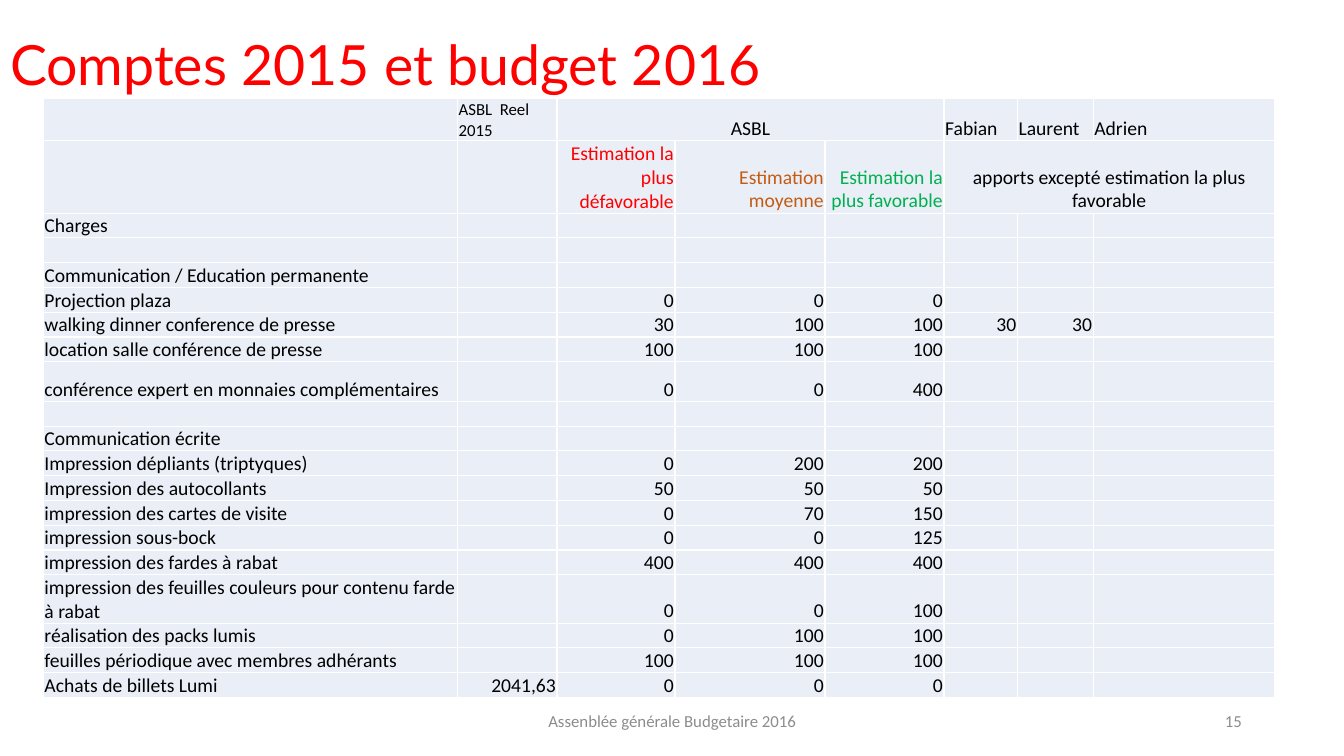
from dataclasses import dataclass

from lxml.etree import SubElement
from pptx import Presentation
from pptx.dml.color import RGBColor as Rgb
from pptx.enum.text import MSO_ANCHOR as Anchor, MSO_AUTO_SIZE as AutoSize, PP_ALIGN as Align
from pptx.oxml.ns import qn
from pptx.util import Cm, Pt


@dataclass(frozen=True)
class Theme:
    title_font: str = "Lato"
    body_font: str = "Calibri"
    title_size: float = 39.6
    table_size: int = 14
    small_size: int = 12
    red: str = "FF0000"
    orange: str = "C55A11"
    green: str = "00B050"
    black: str = "000000"
    grey: str = "8C8C8C"
    cell_fill: str = "EAEFF7"
    border: str = "FFFFFF"


class SlideBuilder:
    def __init__(self, slide, theme):
        self.slide, self.theme = slide, theme

    def style(self, paragraph, size, color, align, font=None):
        paragraph.alignment = align
        paragraph.font.name = font or self.theme.body_font
        paragraph.font.size = Pt(size)
        paragraph.font.color.rgb = Rgb.from_string(color)

    def title(self, text, left, top, width, height):
        title = self.slide.shapes.title
        title.left, title.top, title.width, title.height = map(Cm, (left, top, width, height))
        frame = title.text_frame
        frame.text = text
        frame.auto_size = AutoSize.NONE
        frame.vertical_anchor = Anchor.MIDDLE
        frame.paragraphs[0].line_spacing = 0.9
        self.style(frame.paragraphs[0], self.theme.title_size, self.theme.red,
                   Align.LEFT, self.theme.title_font)

    def footer(self, text, left, width, align):
        frame = self.slide.shapes.add_textbox(Cm(left), Cm(17.65), Cm(width), Cm(1.02)).text_frame
        frame.text = text
        frame.word_wrap = True
        frame.vertical_anchor = Anchor.MIDDLE
        self.style(frame.paragraphs[0], self.theme.small_size, self.theme.grey, align)

    def table(self, left, top, widths, heights):
        table = self.slide.shapes.add_table(
            len(heights), len(widths), Cm(left), Cm(top),
            Cm(sum(widths)), Cm(sum(heights))).table
        table.first_row = table.horz_banding = False
        for column, width in zip(table.columns, widths):
            column.width = Cm(width)
        for row, height in zip(table.rows, heights):
            row.height = Cm(height)
        return table

    def cell(self, cell, text="", align=Align.LEFT, color=None, size=None):
        size = size or self.theme.table_size
        cell.margin_left = cell.margin_right = cell.margin_top = Cm(0.03)
        cell.margin_bottom = 0
        cell.vertical_anchor = Anchor.BOTTOM
        self.borders(cell)
        cell.fill.solid()
        cell.fill.fore_color.rgb = Rgb.from_string(self.theme.cell_fill)
        if text:
            cell.text = text
        paragraph = cell.text_frame.paragraphs[0]
        self.style(paragraph, size, color or self.theme.black, align)
        if not text:
            # An empty cell takes its line height from the paragraph end
            SubElement(paragraph._p, qn("a:endParaRPr"), sz=str(size * 100))

    def borders(self, cell):
        properties = cell._tc.get_or_add_tcPr()
        for side in ("a:lnL", "a:lnR", "a:lnT", "a:lnB"):
            line = SubElement(properties, qn(side), w=str(Pt(1)))
            fill = SubElement(line, qn("a:solidFill"))
            SubElement(fill, qn("a:srgbClr"), val=self.theme.border)


# Table content: label, then amounts from the second column on
CHARGES = [
    ("Charges",),
    (),
    ("Communication / Education permanente",),
    ("Projection plaza", "", "0", "0", "0"),
    ("walking dinner conference de presse", "", "30", "100", "100", "30", "30"),
    ("location salle conférence de presse", "", "100", "100", "100"),
    ("conférence expert en monnaies complémentaires", "", "0", "0", "400"),
    (),
    ("Communication écrite",),
    ("Impression dépliants (triptyques)", "", "0", "200", "200"),
    ("Impression des autocollants", "", "50", "50", "50"),
    ("impression des cartes de visite", "", "0", "70", "150"),
    ("impression sous-bock", "", "0", "0", "125"),
    ("impression des fardes à rabat", "", "400", "400", "400"),
    ("impression des feuilles couleurs pour contenu farde à rabat", "", "0", "0", "100"),
    ("réalisation des packs lumis", "", "0", "100", "100"),
    ("feuilles périodique avec membres adhérants", "", "100", "100", "100"),
    ("Achats de billets Lumi", "2041,63", "0", "0", "0"),
]
COLUMN_WIDTHS = [10.44, 2.51, 2.97, 3.78, 3, 1.85, 1.91, 4.57]
HEADER_HEIGHTS = [1.06, 1.82]
ROW_HEIGHT = 0.62
TALL_ROWS = {6: 1, 14: 1.22}


def main():
    theme = Theme()
    presentation = Presentation()
    presentation.slide_width, presentation.slide_height = Cm(33.87), Cm(19.05)
    builder = SlideBuilder(presentation.slides.add_slide(presentation.slide_layouts[5]), theme)

    # Title
    builder.title("Comptes 2015 et budget 2016", 0, 0.61, 29.82, 2.18)

    # Footer and page number
    builder.footer("Assenblée générale Budgetaire 2016", 11.23, 11.43, Align.CENTER)
    builder.footer("15", 23.93, 7.62, Align.RIGHT)

    # Budget table
    heights = HEADER_HEIGHTS + [TALL_ROWS.get(i, ROW_HEIGHT) for i in range(len(CHARGES))]
    budget = builder.table(1.09, 2.49, COLUMN_WIDTHS, heights)

    # Header cells by row and column: text, alignment, colour, size
    headers = {
        (0, 1): ("ASBL  Reel 2015", Align.LEFT, theme.black, theme.small_size),
        (0, 2): ("ASBL", Align.CENTER),
        (0, 5): ("Fabian",),
        (0, 6): ("Laurent",),
        (0, 7): ("Adrien",),
        (1, 2): ("Estimation la plus défavorable", Align.RIGHT, theme.red),
        (1, 3): ("Estimation moyenne", Align.RIGHT, theme.orange),
        (1, 4): ("Estimation la plus favorable", Align.RIGHT, theme.green),
        (1, 5): ("apports excepté estimation la plus favorable", Align.CENTER),
    }
    columns = range(len(COLUMN_WIDTHS))
    for row in range(len(HEADER_HEIGHTS)):
        for column in columns:
            builder.cell(budget.cell(row, column), *headers.get((row, column), ()))
    budget.cell(0, 2).merge(budget.cell(0, 4))
    budget.cell(1, 5).merge(budget.cell(1, 7))

    # Charge rows
    for row, charge in enumerate(CHARGES, len(HEADER_HEIGHTS)):
        for column in columns:
            text = charge[column] if column < len(charge) else ""
            builder.cell(budget.cell(row, column), text, Align.RIGHT if column else Align.LEFT)

    presentation.save("out.pptx")


if __name__ == "__main__":
    main()
